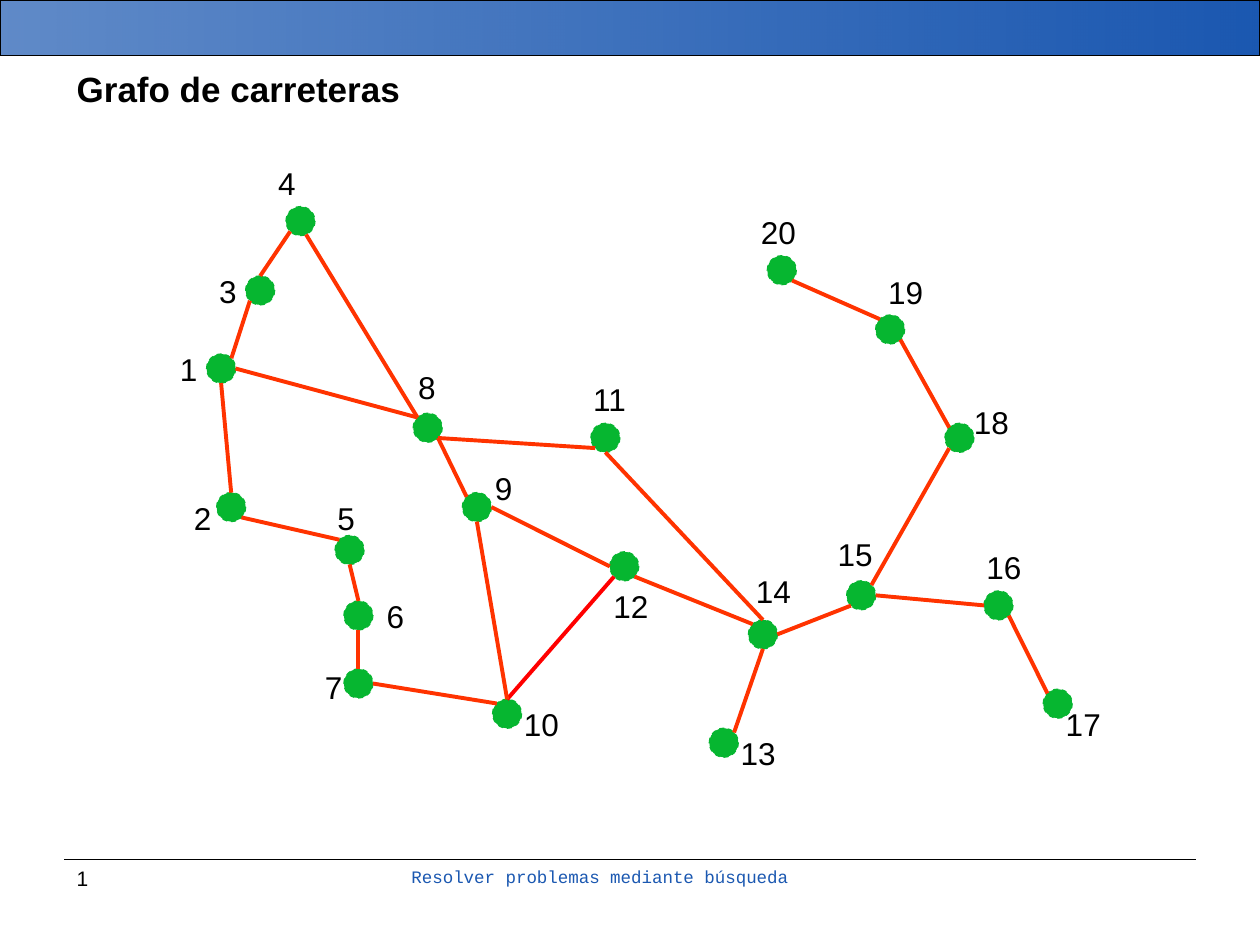
"""Build the road graph slide."""
import dataclasses
import math

import lxml.etree
import pptx
import pptx.dml.color
import pptx.enum.dml
import pptx.enum.shapes
import pptx.enum.text
import pptx.oxml.ns
import pptx.util

Inches = pptx.util.Inches
Align = pptx.enum.text.PP_ALIGN
Anchor = pptx.enum.text.MSO_ANCHOR
Shape = pptx.enum.shapes.MSO_SHAPE

COMPASS = {"E": 0, "SE": 45, "SSE": 67.5, "S": 90, "SW": 135,
           "W": 180, "NW": 225, "N": 270, "NE": 315}

NODES = {
    1: (1.64, 2.81), 3: (1.95, 2.19), 2: (1.72, 3.91), 4: (2.27, 1.64),
    5: (2.66, 4.25), 8: (3.28, 3.28), 6: (2.73, 4.77), 7: (2.73, 5.31),
    9: (3.67, 3.91), 11: (4.69, 3.36), 12: (4.84, 4.38), 10: (3.91, 5.55),
    14: (5.94, 4.92), 20: (6.09, 2.03), 19: (6.95, 2.5), 18: (7.5, 3.36),
    15: (6.72, 4.61), 16: (7.81, 4.69), 13: (5.63, 5.78), 17: (8.28, 5.47),
}

ROADS = [
    (3, "N", 4, "SW"), (3, "SW", 1, "NE"), (1, "S", 2, "N"), (2, "SE", 5, "NW"),
    (5, "S", 6, "N"), (6, "S", 7, "N"), (7, "E", 10, "NW"), (10, "N", 12, "SW"),
    (9, "S", 10, "N"), (9, "E", 12, "W"), (8, "SE", 9, "NW"), (1, "E", 8, "NW"),
    (4, "SSE", 8, "NW"), (8, "SE", 11, "SW"), (11, "S", 14, "N"),
    (12, "SE", 14, "NW"), (14, "S", 13, "NE"), (14, "E", 15, "SW"),
    (15, "NE", 18, "SW"), (15, "E", 16, "W"), (16, "SE", 17, "NW"),
    (18, "NW", 19, "SE"), (19, "NW", 20, "SE"),
]

LABELS = {
    1: (1.33, 2.73), 2: (1.44, 3.91), 3: (1.64, 2.11), 4: (2.11, 1.25),
    5: (2.58, 3.91), 6: (2.97, 4.69), 7: (2.48, 5.25), 8: (3.22, 2.87),
    9: (3.83, 3.67), 10: (4.06, 5.55), 11: (4.61, 2.97), 12: (4.77, 4.61),
    13: (5.78, 5.78), 14: (5.9, 4.49), 15: (6.55, 4.2), 20: (5.94, 1.64),
    19: (6.95, 2.12), 18: (7.63, 3.15), 16: (7.73, 4.3), 17: (8.36, 5.55),
}


@dataclasses.dataclass(frozen=True)
class Theme:
    """Colours, fonts and sizes."""
    ink: str = "000000"
    blue: str = "1B58B1"
    green: str = "06B630"
    road: str = "FF3300"
    highlight: str = "FF0000"
    sans: str = "Arial"
    mono: str = "Courier New"
    title_size: float = 20
    label_size: float = 18
    number_size: float = 12
    footer_size: float = 10
    thin: float = 0.75
    thick: float = 2.25
    node_size: float = 0.23


class GraphSlide:
    """Draws styled elements on one slide."""

    def __init__(self, slide, theme):
        """Keep the slide and its style."""
        self.slide = slide
        self.theme = theme

    def paint_line(self, line, color, width):
        """Give an outline or connector its colour and width."""
        line.color.rgb = pptx.dml.color.RGBColor.from_string(color)
        line.width = pptx.util.Pt(width)

    def banner(self, left, top, width, height):
        """Draw the bar that fades in from the left."""
        bar = self.slide.shapes.add_shape(
            Shape.RECTANGLE, Inches(left), Inches(top), Inches(width), Inches(height))
        bar.shadow.inherit = False
        bar.fill.gradient()
        bar.fill.gradient_angle = 0
        for stop in bar.fill.gradient_stops:
            stop.color.rgb = pptx.dml.color.RGBColor.from_string(self.theme.blue)
        first_color = bar._element.spPr.find(".//" + pptx.oxml.ns.qn("a:srgbClr"))
        alpha = lxml.etree.SubElement(first_color, pptx.oxml.ns.qn("a:alpha"))
        alpha.set("val", "70000")
        self.paint_line(bar.line, self.theme.ink, self.theme.thin)

    def line(self, start, end, color, width):
        """Draw a straight line between two points."""
        connector = self.slide.shapes.add_connector(
            pptx.enum.shapes.MSO_CONNECTOR.STRAIGHT,
            *(Inches(value) for value in (*start, *end)))
        self.paint_line(connector.line, color, width)
        lxml.etree.SubElement(connector._element.spPr, pptx.oxml.ns.qn("a:effectLst"))

    def text(self, words, frame, size, font=None, color=None, bold=False,
             align=Align.LEFT, anchor=Anchor.TOP, grow=False):
        """Place one line of text in a box."""
        box = self.slide.shapes.add_textbox(*(Inches(value) for value in frame))
        box.text_frame.text = words
        box.text_frame.word_wrap = True
        box.text_frame.vertical_anchor = anchor
        if grow:
            box.text_frame.auto_size = pptx.enum.text.MSO_AUTO_SIZE.SHAPE_TO_FIT_TEXT
        para = box.text_frame.paragraphs[0]
        para.alignment = align
        span = para.runs[0]
        span.font.name = font or self.theme.sans
        span.font.size = pptx.util.Pt(size)
        span.font.bold = bold
        span.font.color.rgb = pptx.dml.color.RGBColor.from_string(color or self.theme.ink)

    def node(self, left, top):
        """Draw one town."""
        size = Inches(self.theme.node_size)
        dot = self.slide.shapes.add_shape(Shape.OVAL, Inches(left), Inches(top), size, size)
        dot.shadow.inherit = False
        dot.fill.solid()
        dot.fill.fore_color.rgb = pptx.dml.color.RGBColor.from_string(self.theme.green)
        self.paint_line(dot.line, self.theme.green, self.theme.thin)
        dot.line.dash_style = pptx.enum.dml.MSO_LINE.DASH

    def rim_point(self, town, side):
        """Return the point on a town's rim that faces a compass side."""
        radius = self.theme.node_size / 2
        angle = math.radians(COMPASS[side])
        left, top = NODES[town]
        return (left + radius * (1 + math.cos(angle)),
                top + radius * (1 + math.sin(angle)))

    def road(self, start, start_side, end, end_side):
        """Join two towns from rim to rim."""
        color = self.theme.highlight if (start, end) == (10, 12) else self.theme.road
        self.line(self.rim_point(start, start_side), self.rim_point(end, end_side),
                  color, self.theme.thick)

    def label(self, town, left, top):
        """Write a town's number."""
        width = 0.31 if town < 10 else 0.55
        self.text(str(town), (left, top, width, 0.4), self.theme.label_size, grow=True)


def main():
    """Compose and save the slide."""
    deck = pptx.Presentation()
    deck.slide_width, deck.slide_height = Inches(10), Inches(7.5)
    theme = Theme()
    page = GraphSlide(deck.slides.add_slide(deck.slide_layouts[6]), theme)

    page.banner(0, 0, 10, 0.44)
    page.line((0.51, 6.82), (9.49, 6.82), theme.ink, theme.thin)
    page.text("Resolver problemas mediante búsqueda", (1.61, 6.82, 6.3, 0.52),
              theme.footer_size, theme.mono, theme.blue, align=Align.CENTER)
    page.text("1", (0.51, 6.82, 0.79, 0.52), theme.number_size)
    page.text("Grafo de carreteras", (0.51, 0.44, 8.98, 0.52), theme.title_size,
              bold=True, anchor=Anchor.MIDDLE)

    for position in NODES.values():
        page.node(*position)
    for road in ROADS:
        page.road(*road)
    for town, position in LABELS.items():
        page.label(town, *position)

    deck.save("out.pptx")


if __name__ == "__main__":
    main()
